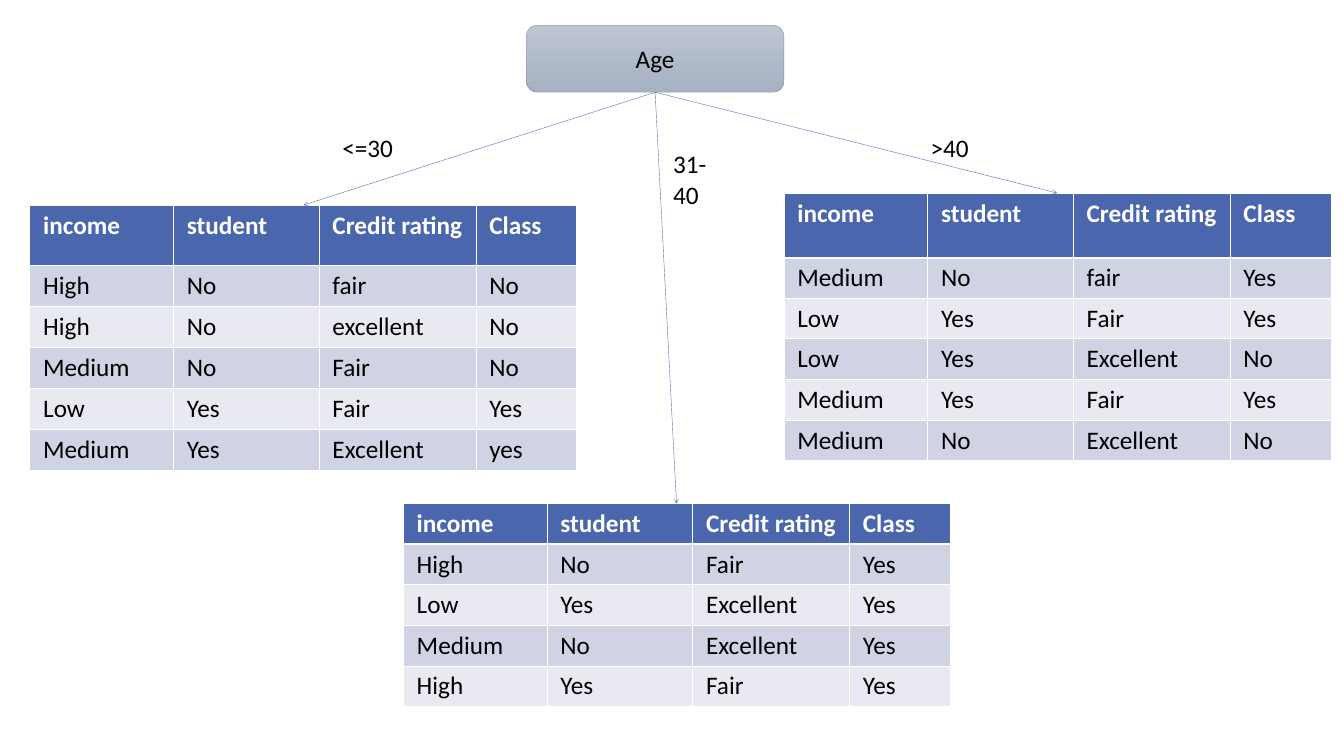
import pptx
import pptx.util
import pptx.dml.color
import pptx.enum.shapes
import pptx.enum.text
import pptx.oxml
import pptx.oxml.ns

Pt = pptx.util.Pt
RGBColor = pptx.dml.color.RGBColor

# Content
ROOT = ("Age", (751.7, 36, 367.9, 95.8))
HEADER = ("income", "student", "Credit rating", "Class")
# Each branch: label, label box, table position, header height, arrow tip, rows
BRANCHES = [
    dict(label="<=30", label_box=(471.6, 180, 108.7, 61.2),
         left=42.5, top=293, header_height=86.4, tip=433.4, rows=[
             ("High", "No", "fair", "No"),
             ("High", "No", "excellent", "No"),
             ("Medium", "No", "Fair", "No"),
             ("Low", "Yes", "Fair", "Yes"),
             ("Medium", "Yes", "Excellent", "yes")]),
    dict(label=">40", label_box=(1311.8, 180, 92.2, 61.2),
         left=1119.6, top=275.8, header_height=92.2, tip=1509.8, rows=[
             ("Medium", "No", "fair", "Yes"),
             ("Low", "Yes", "Fair", "Yes"),
             ("Low", "Yes", "Excellent", "No"),
             ("Medium", "Yes", "Fair", "Yes"),
             ("Medium", "No", "Excellent", "No")]),
    dict(label="31-40", label_box=(943.9, 203.8, 113.8, 61.2),
         left=576, top=719.3, header_height=58, tip=966.2, rows=[
             ("High", "No", "Fair", "Yes"),
             ("Low", "Yes", "Excellent", "Yes"),
             ("Medium", "No", "Excellent", "Yes"),
             ("High", "Yes", "Fair", "Yes")]),
]

# Style
BLUE = RGBColor(0x4A, 0x66, 0xAC)
BANDS = (RGBColor(0xE9, 0xEA, 0xF1), RGBColor(0xD0, 0xD3, 0xE3))
WHITE = RGBColor(0xFF, 0xFF, 0xFF)
BLACK = RGBColor(0, 0, 0)
ROOT_GRADIENT = (RGBColor(0xBE, 0xC5, 0xD2), RGBColor(0xA6, 0xB1, 0xC3))
ROOT_LINE = RGBColor(0x7F, 0x8F, 0xA9)
COLUMN_WIDTHS = (205.2, 208, 224, 144)
ROW_HEIGHT = 58


def margins(side, edge):
    return dict(margin_left=Pt(side), margin_right=Pt(side),
                margin_top=Pt(edge), margin_bottom=Pt(edge))


def apply(target, values):
    for name, value in values.items():
        setattr(target, name, value)


def write(frame, text, color=BLACK, bold=False):
    span = frame.paragraphs[0].add_run()
    span.text = text
    apply(span.font, dict(name="Calibri", size=Pt(36), bold=bold))
    span.font.color.rgb = color


def set_borders(cell, widths):
    properties = cell._tc.get_or_add_tcPr()
    for place, (side, width) in enumerate(widths.items()):
        properties.insert(place, pptx.oxml.parse_xml(
            f'<a:ln{side} {pptx.oxml.ns.nsdecls("a")} w="{Pt(width)}">'
            f'<a:solidFill><a:srgbClr val="{WHITE}"/></a:solidFill></a:ln{side}>'))


def add_branch_table(branch):
    rows = [HEADER] + branch["rows"]
    heights = [branch["header_height"]] + [ROW_HEIGHT] * len(branch["rows"])
    table = page.shapes.add_table(
        len(rows), len(HEADER), Pt(branch["left"]), Pt(branch["top"]),
        Pt(sum(COLUMN_WIDTHS)), Pt(sum(heights))).table
    for column, width in zip(table.columns, COLUMN_WIDTHS):
        column.width = Pt(width)
    for r, (texts, height) in enumerate(zip(rows, heights)):
        table.rows[r].height = Pt(height)
        for c, text in enumerate(texts):
            cell = table.cell(r, c)
            apply(cell, margins(19.2, 7.2))
            cell.fill.solid()
            cell.fill.fore_color.rgb = BANDS[r % 2] if r else BLUE
            set_borders(cell, dict(L=1, R=1, T=3 if r == 1 else 1, B=1 if r else 3))
            write(cell.text_frame, text, BLACK if r else WHITE, bold=r == 0)


def add_arrow(start, end):
    arrow = page.shapes.add_connector(
        pptx.enum.shapes.MSO_CONNECTOR.STRAIGHT, *map(Pt, start + end))
    arrow.line.color.rgb = BLUE
    arrow.line.width = Pt(0.5)
    arrow.line._get_or_add_ln().append(pptx.oxml.parse_xml(
        f'<a:tailEnd {pptx.oxml.ns.nsdecls("a")} type="arrow"/>'))
    arrow._element.spPr.append(pptx.oxml.parse_xml(
        f'<a:effectLst {pptx.oxml.ns.nsdecls("a")}/>'))


def add_label(text, place):
    frame = page.shapes.add_textbox(*map(Pt, place)).text_frame
    apply(frame, dict(margins(17.3, 8.6), word_wrap=True))
    write(frame, text)


deck = pptx.Presentation()
apply(deck, dict(slide_width=Pt(1919.5), slide_height=Pt(1080)))
page = deck.slides.add_slide(deck.slide_layouts[6])

# Root node
root_text, root_place = ROOT
root = page.shapes.add_shape(
    pptx.enum.shapes.MSO_SHAPE.ROUNDED_RECTANGLE, *map(Pt, root_place))
root.shadow.inherit = False
root.fill.gradient()
root.fill.gradient_angle = 270
for stop, color in zip(root.fill.gradient_stops, ROOT_GRADIENT):
    stop.color.rgb = color
    
root.line.color.rgb = ROOT_LINE
root.line.width = Pt(0.5)
apply(root.text_frame, dict(margins(17.3, 8.6), word_wrap=True,
                            vertical_anchor=pptx.enum.text.MSO_ANCHOR.MIDDLE))
root.text_frame.paragraphs[0].alignment = pptx.enum.text.PP_ALIGN.CENTER
write(root.text_frame, root_text)

# Branches
left, top, width, height = root_place
for branch in BRANCHES:
    add_branch_table(branch)
    add_arrow((left + width / 2, top + height), (branch["tip"], branch["top"]))
    add_label(branch["label"], branch["label_box"])

deck.save("out.pptx")
